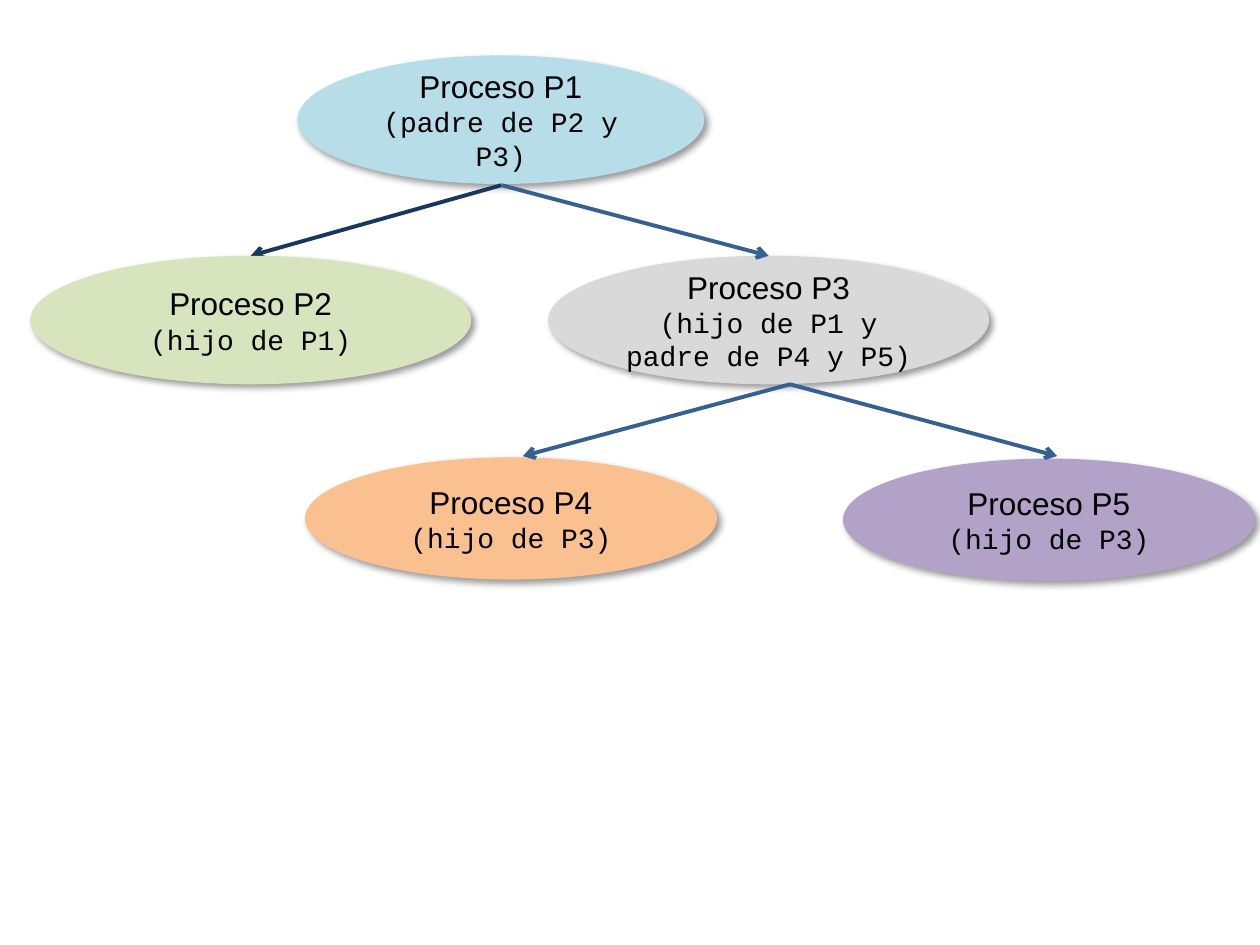
import pptx
import pptx.util
import pptx.dml.color
import pptx.enum.shapes
import pptx.enum.text
import pptx.oxml
import pptx.oxml.ns
from pptx.util import Inches

NS = pptx.oxml.ns.nsdecls("a")
SHADOW = (
    f'<a:effectLst {NS}><a:outerShdw blurRad="50800" dist="38100" dir="2700000" '
    'algn="tl" rotWithShape="0"><a:srgbClr val="000000"><a:alpha val="40000"/>'
    "</a:srgbClr></a:outerShdw></a:effectLst>"
)


def color(code):
    return pptx.dml.color.RGBColor.from_string(code)


def write(para, text, font="Arial", size=18, fill="000000"):
    para.alignment = pptx.enum.text.PP_ALIGN.CENTER
    run = para.add_run()
    run.text = text
    run.font.name = font
    run.font.size = pptx.util.Pt(size)
    run.font.color.rgb = color(fill)


def add_xml(parent, xml):
    parent.append(pptx.oxml.parse_xml(xml))


def add_node(slide, box, fill, name, role):
    node = slide.shapes.add_shape(
        pptx.enum.shapes.MSO_SHAPE.OVAL, *map(Inches, box)
    )
    node.fill.solid()
    node.fill.fore_color.rgb = color(fill)
    node.line.fill.background()
    add_xml(node.element.spPr, SHADOW)
    frame = node.text_frame
    frame.word_wrap = True
    frame.vertical_anchor = pptx.enum.text.MSO_ANCHOR.MIDDLE
    write(frame.paragraphs[0], name)
    write(frame.add_paragraph(), role, font="Courier New", size=16)


def add_arrow(slide, start, end, stroke="376092"):
    arrow = slide.shapes.add_connector(
        pptx.enum.shapes.MSO_CONNECTOR.STRAIGHT, *map(Inches, start + end)
    )
    arrow.line.color.rgb = color(stroke)
    arrow.line.width = pptx.util.Pt(2.25)
    props = arrow.element.spPr
    add_xml(props.find(pptx.oxml.ns.qn("a:ln")), f'<a:tailEnd {NS} type="arrow"/>')
    add_xml(props, f"<a:effectLst {NS}/>")


def add_tree(slide):
    root = (3.98, 1.47)
    fork = (6.27, 3.05)
    add_node(slide, (2.36, 0.44, 3.23, 1.02), "B7DEE8",
             "Proceso P1", "(padre de P2 y P3)")
    add_arrow(slide, root, (1.99, 2.03), stroke="17375E")
    add_node(slide, (0.24, 2.03, 3.5, 1.02), "D7E4BD",
             "Proceso P2", "(hijo de P1)")
    add_node(slide, (4.35, 2.03, 3.5, 1.02), "D9D9D9",
             "Proceso P3", "(hijo de P1 y padre de P4 y P5)")
    add_arrow(slide, root, (6.1, 2.03))
    add_node(slide, (2.42, 3.63, 3.27, 0.97), "FAC090",
             "Proceso P4", "(hijo de P3)")
    add_node(slide, (6.69, 3.64, 3.27, 0.97), "B3A2C7",
             "Proceso P5", "(hijo de P3)")
    for side in (1, -1):
        add_arrow(slide, fork, (fork[0] + side * 2.12, 3.62))


def main():
    deck = pptx.Presentation()
    deck.slide_width = Inches(10)
    deck.slide_height = Inches(7.5)
    add_tree(deck.slides.add_slide(deck.slide_layouts[6]))
    deck.save("out.pptx")


if __name__ == "__main__":
    main()
